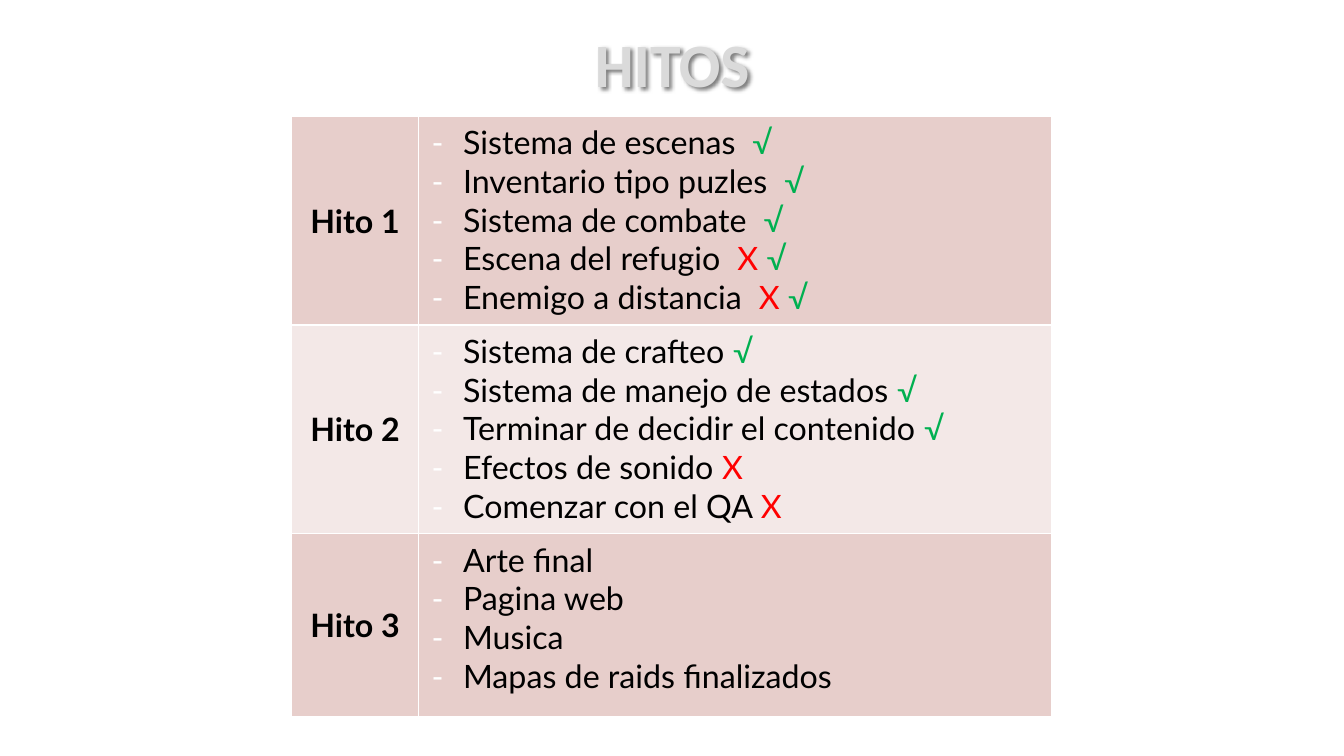
import dataclasses

import pptx
import pptx.dml.color
import pptx.enum.text
import pptx.oxml
import pptx.util

Cm = pptx.util.Cm
Pt = pptx.util.Pt
RGB = pptx.dml.color.RGBColor.from_string
CENTER = pptx.enum.text.PP_ALIGN.CENTER
MIDDLE = pptx.enum.text.MSO_ANCHOR.MIDDLE


@dataclasses.dataclass(frozen=True)
class Theme:
    title: str = "DADADA"
    text: str = "000000"
    done: str = "00B050"
    pending: str = "FF0000"
    line: str = "FFFFFF"
    shadow: str = "000000"
    bands: tuple = ("E7CECB", "F3E8E7")
    title_font: str = "Calibri"
    body_font: str = "Lato"
    title_size: int = 44
    body_size: int = 23


T = Theme()
MARKS = {"√": T.done, "X": T.pending}
MILESTONES = [
    ("Hito 1", 5.26, [
        ("Sistema de escenas  ", "√"),
        ("Inventario tipo puzles  ", "√"),
        ("Sistema de combate  ", "√"),
        ("Escena del refugio  ", "X ", "√"),
        ("Enemigo a distancia  ", "X ", "√"),
    ]),
    ("Hito 2", 5.26, [
        ("Sistema de crafteo ", "√"),
        ("Sistema de manejo de estados ", "√"),
        ("Terminar de decidir el contenido ", "√"),
        ("Efectos de sonido ", "X"),
        ("Comenzar con el QA ", "X"),
    ]),
    ("Hito 3", 4.6, [
        ("Arte final",),
        ("Pagina web",),
        ("Musica",),
        ("Mapas de raids finalizados",),
    ]),
]


def add_run(p, text, color=T.text, **font):
    r = p.add_run()
    r.text = text
    values = {"name": T.body_font, "size": Pt(T.body_size), "bold": False} | font
    for name, value in values.items():
        setattr(r.font, name, value)
    r.font.color.rgb = RGB(color)


def add_xml(parent, index, xml):
    """Insert xml as a child of parent; its first space takes the namespace."""
    ns = 'xmlns:a="http://schemas.openxmlformats.org/drawingml/2006/main"'
    parent.insert(index, pptx.oxml.parse_xml(xml.replace(" ", f" {ns} ", 1)))


prs = pptx.Presentation()
prs.slide_width, prs.slide_height = Cm(33.87), Cm(19.05)
s = prs.slides.add_slide(prs.slide_layouts[5])

# Title: with no fill on the shape, its shadow falls from the letters
title = s.shapes.title
place = {"left": 2.57, "top": 0.23, "width": 28.75, "height": 2.69}
for name, value in place.items():
    setattr(title, name, Cm(value))
title.fill.background()
spPr = title._element.spPr
add_xml(spPr, len(spPr),
        '<a:effectLst ><a:outerShdw blurRad="38100" dist="25400" dir="2700000">'
        f'<a:srgbClr val="{T.shadow}"><a:alpha val="50000"/></a:srgbClr>'
        '</a:outerShdw></a:effectLst>')
title.text_frame.vertical_anchor = MIDDLE
p = title.text_frame.paragraphs[0]
p.alignment = CENTER
add_run(p, "HITOS", T.title, name=T.title_font, size=Pt(T.title_size), bold=True)

# Milestone table
widths = (3.2, 15.95)
height = sum(m[1] for m in MILESTONES)
table = s.shapes.add_table(len(MILESTONES), len(widths), Cm(7.35), Cm(2.93),
                           Cm(sum(widths)), Cm(height)).table
table.first_row = False
table.horz_banding = False
for column, width in zip(table.columns, widths):
    column.width = Cm(width)

margins = {"margin_left": Cm(0.33), "margin_right": Cm(0.33),
           "margin_top": Cm(0.16), "margin_bottom": Cm(0.16)}
for i, (name, row_height, tasks) in enumerate(MILESTONES):
    table.rows[i].height = Cm(row_height)
    label, details = table.cell(i, 0), table.cell(i, 1)
    for cell in (label, details):
        for margin, value in margins.items():
            setattr(cell, margin, value)
        cell.fill.solid()
        cell.fill.fore_color.rgb = RGB(T.bands[i % 2])
        for k, side in enumerate("LRTB"):
            add_xml(cell._tc.tcPr, k,
                    f'<a:ln{side} w="12700"><a:solidFill><a:srgbClr val="{T.line}"/>'
                    f'</a:solidFill></a:ln{side}>')

    label.vertical_anchor = MIDDLE
    p = label.text_frame.paragraphs[0]
    p.alignment = CENTER
    add_run(p, name, bold=True)

    tf = details.text_frame
    for k, (task, *marks) in enumerate(tasks):
        p = tf.add_paragraph() if k else tf.paragraphs[0]
        pPr = p._p.get_or_add_pPr()
        pPr.set("marL", str(Cm(0.79)))
        pPr.set("indent", str(-Cm(0.79)))
        bullet = (f'<a:buClr ><a:srgbClr val="{T.line}"/></a:buClr>',
                  f'<a:buFont typeface="{T.body_font}"/>',
                  '<a:buChar char="-"/>')
        for n, xml in enumerate(bullet):
            add_xml(pPr, n, xml)
        add_run(p, task)
        for mark in marks:
            add_run(p, mark, MARKS[mark.strip()])

prs.save("out.pptx")
